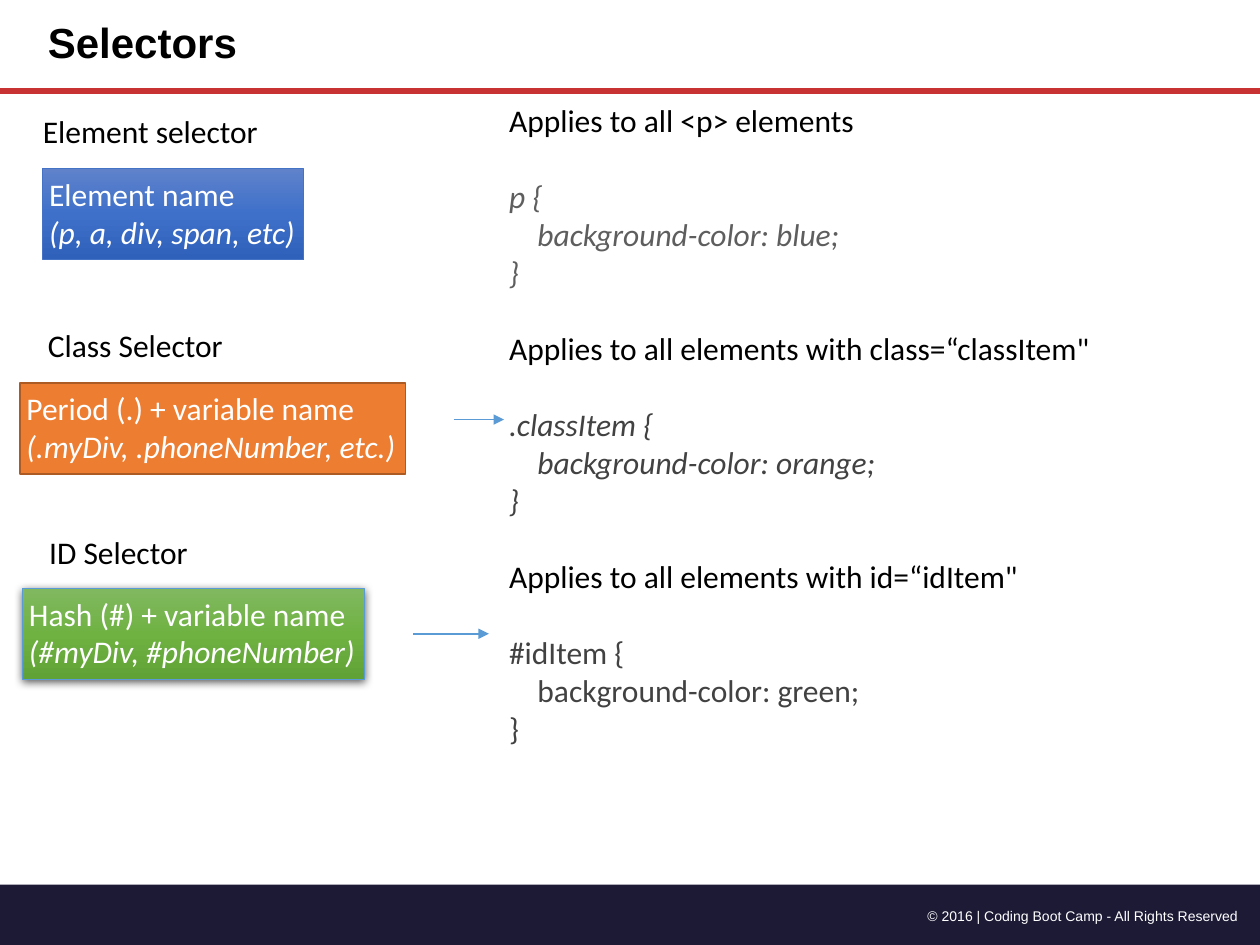
from copy import deepcopy

from lxml import etree
from pptx import Presentation
from pptx.dml.color import RGBColor
from pptx.enum import shapes, text
from pptx.oxml.ns import qn
from pptx.util import Inches, Pt

COLORS = {
    "black": "000000", "white": "FFFFFF", "navy": "1D1A36", "red": "C83232",
    "gray": "5E5E5E", "dark_gray": "424242", "arrow": "5B9BD5",
    "blue_line": "4472C4", "orange": "ED7D31", "orange_line": "AD5B24",
}
BLUE_GRADIENT = ("5F82CB", "3E70CA", "2F61BA")
GREEN_GRADIENT = ("80B860", "6FB242", "61A236")
LINE_HEIGHT = Pt(22)


def rgb(name):
    return RGBColor.from_string(COLORS[name])


class SlideBuilder:
    """Holds the text style and the page being built."""

    font, size = "Calibri", 18
    inset = Inches(0.05)

    def __init__(self, deck):
        self.page = deck.slides.add_slide(deck.slide_layouts[5])

    def prepare(self, frame):
        frame.margin_left = frame.margin_right = self.inset
        frame.margin_top = frame.margin_bottom = self.inset
        frame.vertical_anchor = text.MSO_ANCHOR.TOP
        frame.word_wrap = False
        frame.auto_size = text.MSO_AUTO_SIZE.SHAPE_TO_FIT_TEXT

    def fill_text(self, frame, lines):
        """Fill a frame from (wording, color, italic, space before) tuples."""
        self.prepare(frame)
        for index, (wording, color, italic, before) in enumerate(lines):
            para = frame.add_paragraph() if index else frame.paragraphs[0]
            para.text = wording
            para.alignment = text.PP_ALIGN.LEFT
            para.space_before = before
            para.font.name, para.font.size = self.font, Pt(self.size)
            para.font.italic = italic
            para.font.color.rgb = rgb(color)

    def title(self, wording):
        box = self.page.shapes.title
        box.left, box.top = Inches(0.33), Inches(0)
        box.width, box.height = Inches(5.98), Inches(0.72)
        frame = box.text_frame
        frame.text = wording
        self.prepare(frame)
        frame.word_wrap = True
        frame.auto_size = text.MSO_AUTO_SIZE.NONE
        frame.vertical_anchor = text.MSO_ANCHOR.MIDDLE
        para = frame.paragraphs[0]
        para.alignment = text.PP_ALIGN.LEFT
        para.line_spacing = 0.9
        para.font.name, para.font.size, para.font.bold = "Arial", Pt(24), True
        para.font.color.rgb = rgb("black")

    def text_box(self, left, top, width, height, lines):
        box = self.page.shapes.add_textbox(
            Inches(left), Inches(top), Inches(width), Inches(height))
        self.fill_text(box.text_frame, lines)
        return box

    def rectangle(self, left, top, width, height, fill, line=None, weight=0.5):
        """Draw a box; fill is a color name or a tuple of gradient stops."""
        box = self.page.shapes.add_shape(
            shapes.MSO_SHAPE.RECTANGLE,
            Inches(left), Inches(top), Inches(width), Inches(height))
        box.shadow.inherit = False
        if isinstance(fill, tuple):
            self.gradient(box, fill)
        else:
            box.fill.solid()
            box.fill.fore_color.rgb = rgb(fill)
        if line:
            box.line.color.rgb = rgb(line)
            box.line.width = Pt(weight)
        else:
            box.line.fill.background()
        return box

    def gradient(self, box, stops):
        """Apply a three-stop gradient running from top to bottom."""
        box.fill.gradient()
        box.fill.gradient_angle = 270
        stop_list = box._element.spPr.find(qn("a:gradFill")).find(qn("a:gsLst"))
        stop_list.insert(1, deepcopy(stop_list[0]))
        for index, stop in enumerate(box.fill.gradient_stops):
            stop.position = index / 2
            stop.color.rgb = RGBColor.from_string(stops[index])

    def drop_shadow(self, box):
        effects = box._element.spPr.find(qn("a:effectLst"))
        shadow = etree.SubElement(
            effects, qn("a:outerShdw"), blurRad=str(Pt(5)), dist=str(Pt(1.5)),
            dir="5400000", algn="ctr", rotWithShape="0")
        color = etree.SubElement(shadow, qn("a:srgbClr"), val=COLORS["black"])
        etree.SubElement(color, qn("a:alpha"), val="63000")

    def line(self, left, right, y, color, weight, arrow=False):
        line = self.page.shapes.add_connector(
            shapes.MSO_CONNECTOR.STRAIGHT,
            Inches(left), Inches(y), Inches(right), Inches(y))
        line.line.color.rgb = rgb(color)
        line.line.width = Pt(weight)
        if arrow:
            etree.SubElement(line.line._get_or_add_ln(), qn("a:tailEnd"),
                             type="triangle")
        etree.SubElement(line._element.spPr, qn("a:effectLst"))

    def footer(self, wording):
        self.rectangle(0, 7.02, 10, 0.48, "navy")
        box = self.text_box(6.83, 7.15, 3.05, 0.22,
                            [(wording, "white", False, 0)])
        para = box.text_frame.paragraphs[0]
        para.alignment = text.PP_ALIGN.RIGHT
        para.font.name, para.font.size = "Arial", Pt(8)


def rule_lines(rules):
    """List each heading and its CSS rule, one empty line apart."""
    lines = []
    for heading, selector, value, color, italic in rules:
        lines += [
            (heading, "black", False, LINE_HEIGHT if lines else 0),
            (selector + " {", color, italic, LINE_HEIGHT),
            (f"    background-color: {value};", color, italic, 0),
            ("}", color, italic, 0),
        ]
    return lines


def main():
    deck = Presentation()
    deck.slide_width, deck.slide_height = Inches(10), Inches(7.5)
    builder = SlideBuilder(deck)

    builder.footer("© 2016 | Coding Boot Camp - All Rights Reserved")
    builder.line(0, 10, 0.72, "red", 3.25)
    builder.title("Selectors")

    builder.text_box(3.99, 0.75, 4.78, 5.29, rule_lines([
        ("Applies to all <p> elements", "p", "blue", "gray", True),
        ("Applies to all elements with class=“classItem\"",
         ".classItem", "orange", "dark_gray", True),
        ("Applies to all elements with id=“idItem\"",
         "#idItem", "green", "dark_gray", False),
    ]))

    labels = [
        ("Element selector", 0.29, 0.84, 1.82),
        ("Class Selector", 0.33, 2.54, 1.5),
        ("ID Selector", 0.34, 4.18, 1.21),
    ]
    for wording, left, top, width in labels:
        builder.text_box(left, top, width, 0.41, [(wording, "black", False, 0)])

    syntaxes = [
        ("Element name", "(p, a, div, span, etc)",
         0.34, 1.34, 2.07, BLUE_GRADIENT, "blue_line", 0.5),
        ("Period (.) + variable name", "(.myDiv, .phoneNumber, etc.)",
         0.16, 3.04, 3.06, "orange", "orange_line", 1),
        ("Hash (#) + variable name", "(#myDiv, #phoneNumber)",
         0.18, 4.67, 2.71, GREEN_GRADIENT, "arrow", 0.5),
    ]
    for syntax, examples, left, top, width, fill, line, weight in syntaxes:
        box = builder.rectangle(left, top, width, 0.72, fill, line, weight)
        builder.fill_text(box.text_frame, [(syntax, "white", False, 0),
                                           (examples, "white", True, 0)])
    builder.drop_shadow(box)

    for left, right, y in [(3.28, 3.88, 5.03), (3.6, 4, 3.33)]:
        builder.line(left, right, y, "arrow", 1, arrow=True)

    deck.save("out.pptx")


if __name__ == "__main__":
    main()
